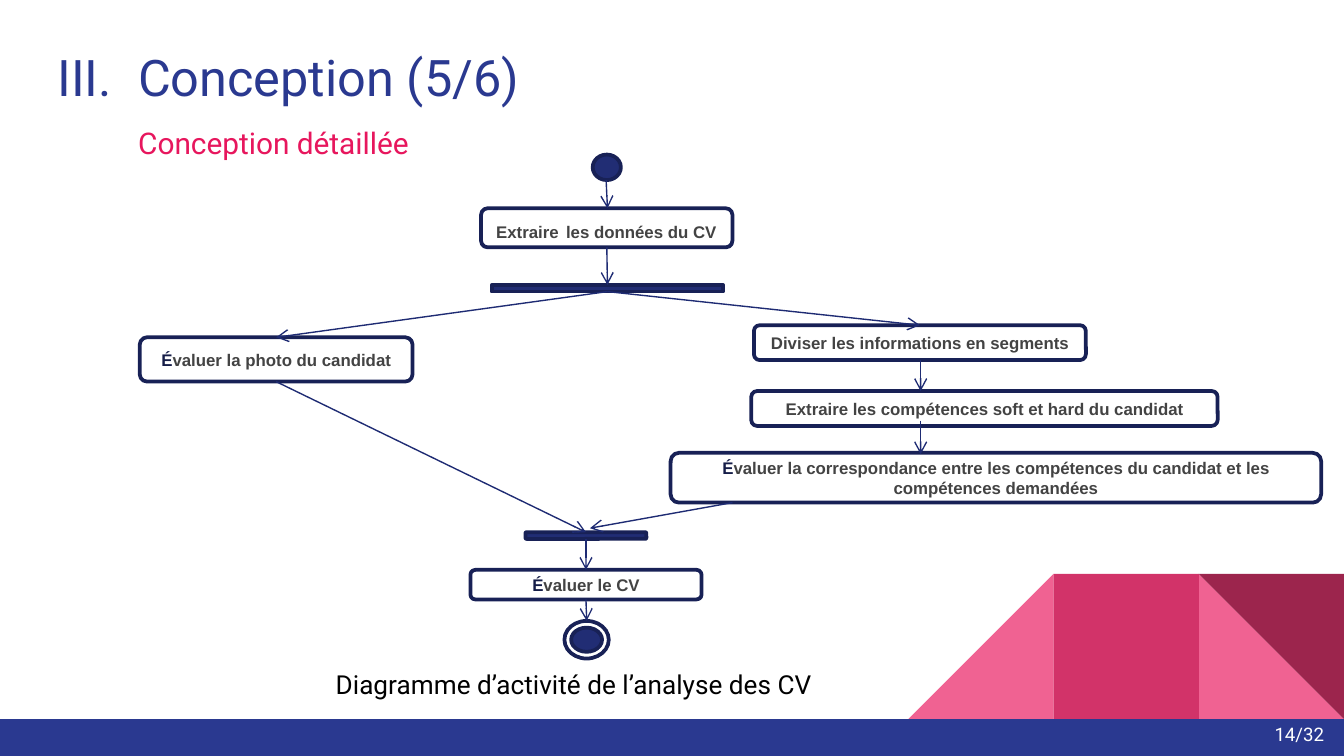
"""Build the slide that shows the activity diagram of the CV analysis."""
from lxml import etree
from pptx import Presentation
from pptx.dml.color import RGBColor
from pptx.enum.shapes import MSO_CONNECTOR, MSO_SHAPE
from pptx.enum.text import MSO_ANCHOR, PP_ALIGN
from pptx.oxml.ns import qn
from pptx.util import Inches, Pt

ROUNDED, RECT = MSO_SHAPE.ROUNDED_RECTANGLE, MSO_SHAPE.RECTANGLE
ELLIPSE, TRIANGLE = MSO_SHAPE.OVAL, MSO_SHAPE.RIGHT_TRIANGLE
STRAIGHT = MSO_CONNECTOR.STRAIGHT
LEFT, CENTER, RIGHT = PP_ALIGN.LEFT, PP_ALIGN.CENTER, PP_ALIGN.RIGHT
TOP, MIDDLE = MSO_ANCHOR.TOP, MSO_ANCHOR.MIDDLE

WHITE = RGBColor(0xFF, 0xFF, 0xFF)
BLACK = RGBColor(0x00, 0x00, 0x00)
BLUE = RGBColor(0x2A, 0x39, 0x90)
CRIMSON = RGBColor(0xE7, 0x16, 0x5D)
PINK = RGBColor(0xF0, 0x62, 0x92)
ROSE = RGBColor(0xD2, 0x33, 0x69)
WINE = RGBColor(0x9C, 0x25, 0x4D)
NAVY = RGBColor(0x21, 0x2D, 0x74)
OUTLINE = RGBColor(0x18, 0x21, 0x56)
ARROW = RGBColor(0x1E, 0x2B, 0x73)
INITIAL = RGBColor(0x15, 0x1D, 0x48)
GREY = RGBColor(0x43, 0x43, 0x43)

COLUMNS, ROWS = 100, 56.25
CELL = Inches(0.1)
TILE = 10.8
TITLE_INDENT = 6


def cells(*lengths):
    """Turn grid lengths into slide lengths."""
    return [round(length * CELL) for length in lengths]


def add_run(paragraph, text, size, color, font="Roboto", bold=False):
    """Append one formatted run."""
    run = paragraph.add_run()
    run.text = text
    run.font.size = Pt(size)
    run.font.name = font
    run.font.bold = bold
    run.font.color.rgb = color


def add_block(slide, kind, place, fill, outline=None):
    """Draw a filled shape at a grid place."""
    block = slide.shapes.add_shape(kind, *cells(*place))
    block.shadow.inherit = False
    block.fill.solid()
    block.fill.fore_color.rgb = fill
    if outline is None:
        block.line.fill.background()
    else:
        block.line.color.rgb = outline
        block.line.width = Pt(2)
    return block


def add_node(slide, kind, place, fill=NAVY):
    """Draw an outlined node of the diagram."""
    return add_block(slide, kind, place, fill, OUTLINE)


def add_activity(slide, place, pieces, align=CENTER):
    """Draw a rounded activity with its label pieces."""
    activity = add_node(slide, ROUNDED, place, WHITE)
    frame = activity.text_frame
    frame.word_wrap = True
    frame.vertical_anchor = MIDDLE
    label = frame.paragraphs[0]
    label.alignment = align
    for text, color, size in pieces:
        add_run(label, text, size, color, "Arial", size == 9)
    return activity


def add_evaluation(slide, place, rest):
    """Draw an activity whose label opens with a darker initial."""
    return add_activity(slide, place, [("É", INITIAL, 9), (rest, GREY, 9)])


def add_arrow(slide, start=(0, 0), end=(0, 0)):
    """Draw an open-headed arrow between two grid points."""
    arrow = slide.shapes.add_connector(STRAIGHT, *cells(*start, *end))
    arrow.line.color.rgb = ARROW
    arrow.line.width = Pt(0.75)
    head = etree.SubElement(arrow.line._get_or_add_ln(), qn("a:tailEnd"))
    head.set("type", "arrow")
    etree.SubElement(arrow._element.spPr, qn("a:effectLst"))
    return arrow


def link(slide, source, target):
    """Join the bottom of one box to the top of another node."""
    arrow = add_arrow(slide)
    arrow.begin_connect(source, 2)
    arrow.end_connect(target, 0)


def add_caption(slide, place, anchor=TOP):
    """Add an empty text frame with even insets."""
    frame = slide.shapes.add_textbox(*cells(*place)).text_frame
    frame.word_wrap = True
    frame.vertical_anchor = anchor
    frame.margin_left = frame.margin_right = CELL
    frame.margin_top = frame.margin_bottom = CELL
    return frame


def draw_decor(slide):
    """Draw the corner tiles and the footer band."""
    band_top = 53.5
    top = band_top - TILE
    left, middle, right = (COLUMNS - TILE * count for count in (3, 2, 1))
    add_block(slide, TRIANGLE, (right, top, TILE, TILE), PINK)
    slope = add_block(slide, TRIANGLE, (left, top, TILE, TILE), PINK)
    slope._element.spPr.xfrm.set("flipH", "1")
    add_block(slide, RECT, (middle, top, TILE, TILE), ROSE)
    corner = add_block(slide, TRIANGLE, (right, top, TILE, TILE), WINE)
    corner.rotation = 180
    add_block(slide, RECT, (0, band_top, COLUMNS, ROWS - band_top), BLUE)


def draw_texts(slide):
    """Write the title, the caption and the page number."""
    heading = add_caption(slide, (3.3, 0.2, 93.2, 9))
    title, subtitle = heading.paragraphs[0], heading.add_paragraph()
    indent = TITLE_INDENT * CELL
    for paragraph, first in ((title, -indent), (subtitle, 0)):
        paragraph.line_spacing = 1.5
        properties = paragraph._p.get_or_add_pPr()
        properties.set("marL", str(indent))
        properties.set("indent", str(first))
    add_run(title, "III.\tConception (5/6)", 27, BLUE)
    add_run(subtitle, "Conception détaillée", 16, CRIMSON)

    caption = add_caption(slide, (24, 48.7, 76, 4.4)).paragraphs[0]
    add_run(caption, "Diagramme d’activité de l’analyse des CV", 14, BLACK)

    page = add_caption(slide, (93.5, 52.5, 6, 4.3), MIDDLE).paragraphs[0]
    page.alignment = RIGHT
    add_run(page, "14/32", 10, WHITE)


def draw_diagram(slide):
    """Draw the activities, the bars and the flows."""
    add_node(slide, ELLIPSE, (44.1, 11.5, 2.1, 1.9))
    extract = add_activity(
        slide, (35.8, 15.5, 18.7, 2.9),
        [("Extraire", GREY, 9), (" ", GREY, 14), ("les données du CV", GREY, 9)],
        LEFT)
    fork = add_node(slide, RECT, (36.6, 21.2, 17.2, 0.5))
    photo = add_evaluation(slide, (10.4, 25.1, 20.3, 3.3),
                           "valuer la photo du candidat")
    segments = add_activity(slide, (56.1, 24.2, 24.7, 2.6),
                            [("Diviser les informations en segments", GREY, 9)])
    add_activity(slide, (55.9, 29.1, 34.7, 2.6),
                 [("Extraire les compétences soft et hard du candidat", GREY, 9)])
    add_evaluation(slide, (49.9, 33.7, 48.4, 3.7),
                   "valuer la correspondance entre les compétences du candidat "
                   "et les compétences demandées")
    evaluate = add_evaluation(slide, (35, 42.4, 17.2, 2.2), "valuer le CV")
    join = add_node(slide, ROUNDED, (39.1, 39.6, 9, 0.5))
    finish = add_node(slide, ELLIPSE, (42, 46.2, 3.3, 2.8), WHITE)
    add_node(slide, ELLIPSE, (42.5, 46.7, 2.3, 1.8))

    flows = [(extract, fork), (fork, photo), (fork, segments),
             (photo, join), (join, evaluate), (evaluate, finish)]
    for source, target in flows:
        link(slide, source, target)
    add_arrow(slide, (45.1, 13.4), (45.2, 15.5))
    add_arrow(slide, (68.5, 26.8), (68.5, 29.1))
    add_arrow(slide, (68.5, 31.3), (68.5, 33.8))
    add_arrow(slide, (54.5, 37.4), (43.9, 39.3))


def main():
    """Build and save the slide."""
    deck = Presentation()
    deck.slide_width, deck.slide_height = cells(COLUMNS, ROWS)
    slide = deck.slides.add_slide(deck.slide_layouts[6])
    draw_decor(slide)
    draw_texts(slide)
    draw_diagram(slide)
    deck.save("out.pptx")


main()
